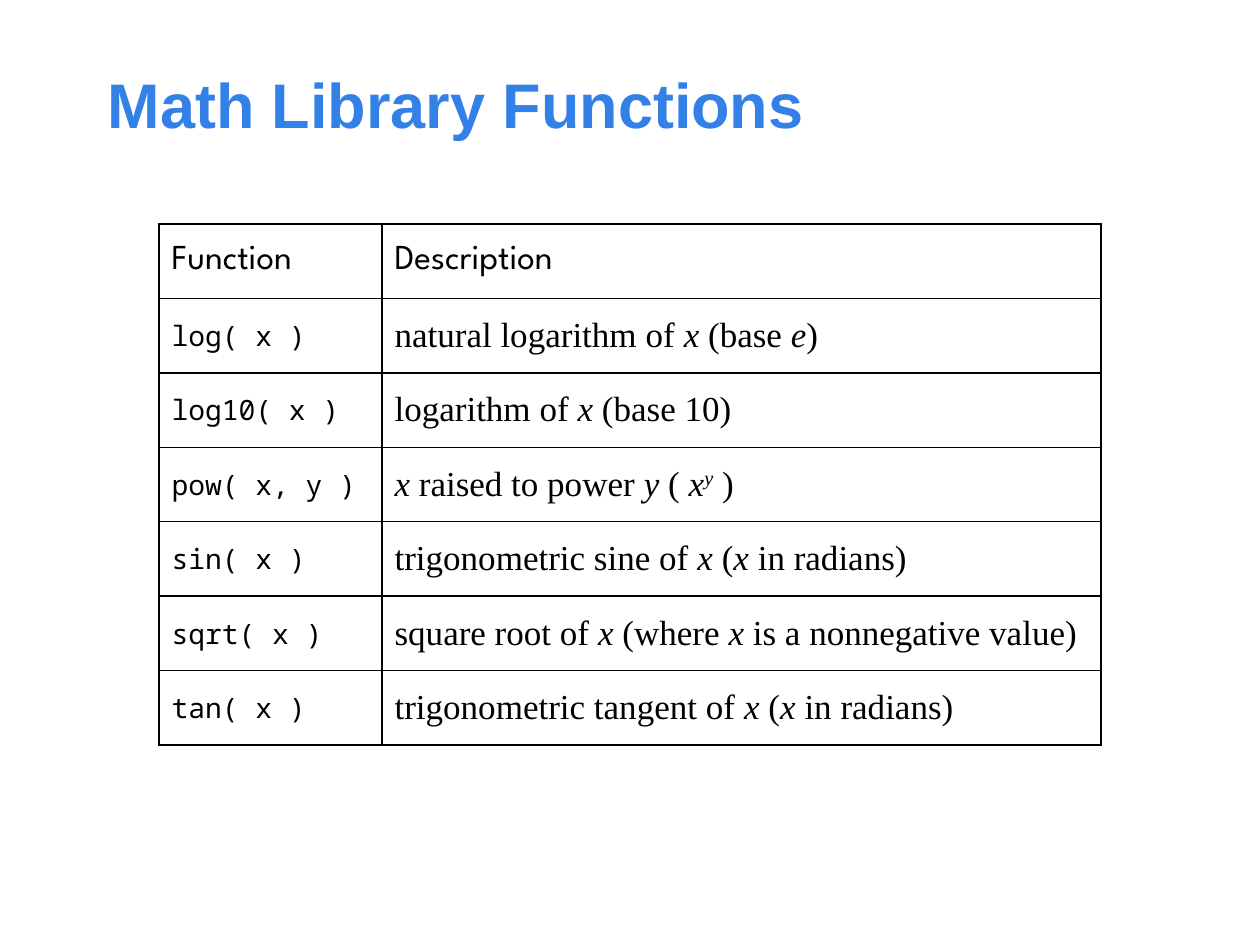
from dataclasses import dataclass

from lxml.etree import SubElement
from pptx import Presentation
from pptx.dml.color import RGBColor
from pptx.enum.text import MSO_ANCHOR, PP_ALIGN
from pptx.oxml.ns import qn
from pptx.util import Emu, Pt

PX_PER_INCH = 126


@dataclass(frozen=True)
class Theme:
    title_color: RGBColor = RGBColor(0x33, 0x80, 0xE6)
    ink: RGBColor = RGBColor(0, 0, 0)
    title_font: str = "Arial"
    header_font: str = "League Spartan"
    code_font: str = "Noto Sans Mono"
    body_font: str = "Times New Roman"
    title_size: int = 36
    body_size: int = 20
    code_size: int = 16
    outer_line: float = 1.5
    inner_line: float = 1


THEME = Theme()

HEADERS = ("Function", "Description")
# Asterisks enclose italics; a leading caret raises the italic text
FUNCTIONS = [
    ("log( x )", "natural logarithm of *x* (base *e*)"),
    ("log10( x )", "logarithm of *x* (base 10)"),
    ("pow( x, y )", "*x* raised to power *y* ( *x**^y* )"),
    ("sin( x )", "trigonometric sine of *x* (*x* in radians)"),
    ("sqrt( x )", "square root of *x* (where *x* is a nonnegative value)"),
    ("tan( x )", "trigonometric tangent of *x* (*x* in radians)"),
]


def px(count):
    return Emu(round(count * 914400 / PX_PER_INCH))


def format_font(font, name, size, color):
    font.name = name
    font.size = Pt(size)
    font.color.rgb = color


def add_title(page, text):
    title = page.shapes.title
    title.left, title.top, title.width, title.height = px(95), px(35), px(1071), px(136)
    frame = title.text_frame
    frame.text = text
    frame.vertical_anchor = MSO_ANCHOR.MIDDLE
    para = frame.paragraphs[0]
    para.alignment = PP_ALIGN.LEFT
    font = para.runs[0].font
    format_font(font, THEME.title_font, THEME.title_size, THEME.title_color)
    font.bold = True


def set_borders(cell, widths):
    """Draw the left, right, top and bottom borders, widths in points."""
    properties = cell._tc.get_or_add_tcPr()
    for position, (tag, width) in enumerate(zip(("lnL", "lnR", "lnT", "lnB"), widths)):
        line = properties.makeelement(qn(f"a:{tag}"), {"w": str(Pt(width))})
        fill = SubElement(line, qn("a:solidFill"))
        SubElement(fill, qn("a:srgbClr"), val=str(THEME.ink))
        properties.insert(position, line)


def fill_cell(cell, text, font_name, size):
    cell.fill.background()
    cell.vertical_anchor = MSO_ANCHOR.MIDDLE
    para = cell.text_frame.paragraphs[0]
    for index, part in enumerate(text.split("*")):
        if not part:
            continue
        span = para.add_run()
        span.text = part.lstrip("^")
        format_font(span.font, font_name, size, THEME.ink)
        span.font.italic = index % 2 == 1
        if part.startswith("^"):
            span.font._element.set("baseline", "30000")


def add_function_table(page):
    rows = [HEADERS, *FUNCTIONS]
    widths = (223, 719)
    frame = page.shapes.add_table(len(rows), len(widths), px(159), px(224),
                                  px(sum(widths)), px(521))
    table = frame.table
    table.first_row = table.horz_banding = False
    for column, width in zip(table.columns, widths):
        column.width = px(width)

    last_row, last_column = len(rows) - 1, len(widths) - 1
    body_styles = ((THEME.code_font, THEME.code_size),
                   (THEME.body_font, THEME.body_size))
    for r, texts in enumerate(rows):
        for c, text in enumerate(texts):
            cell = table.cell(r, c)
            style = body_styles[c] if r else (THEME.header_font, THEME.body_size)
            fill_cell(cell, text, *style)
            on_edge = (c == 0, c == last_column, r == 0, r == last_row)
            set_borders(cell, [THEME.outer_line if edge else THEME.inner_line
                               for edge in on_edge])


def main():
    deck = Presentation()
    deck.slide_width, deck.slide_height = px(1260), px(945)
    page = deck.slides.add_slide(deck.slide_layouts[5])
    add_title(page, "Math Library Functions")
    add_function_table(page)
    deck.save("out.pptx")


if __name__ == "__main__":
    main()
